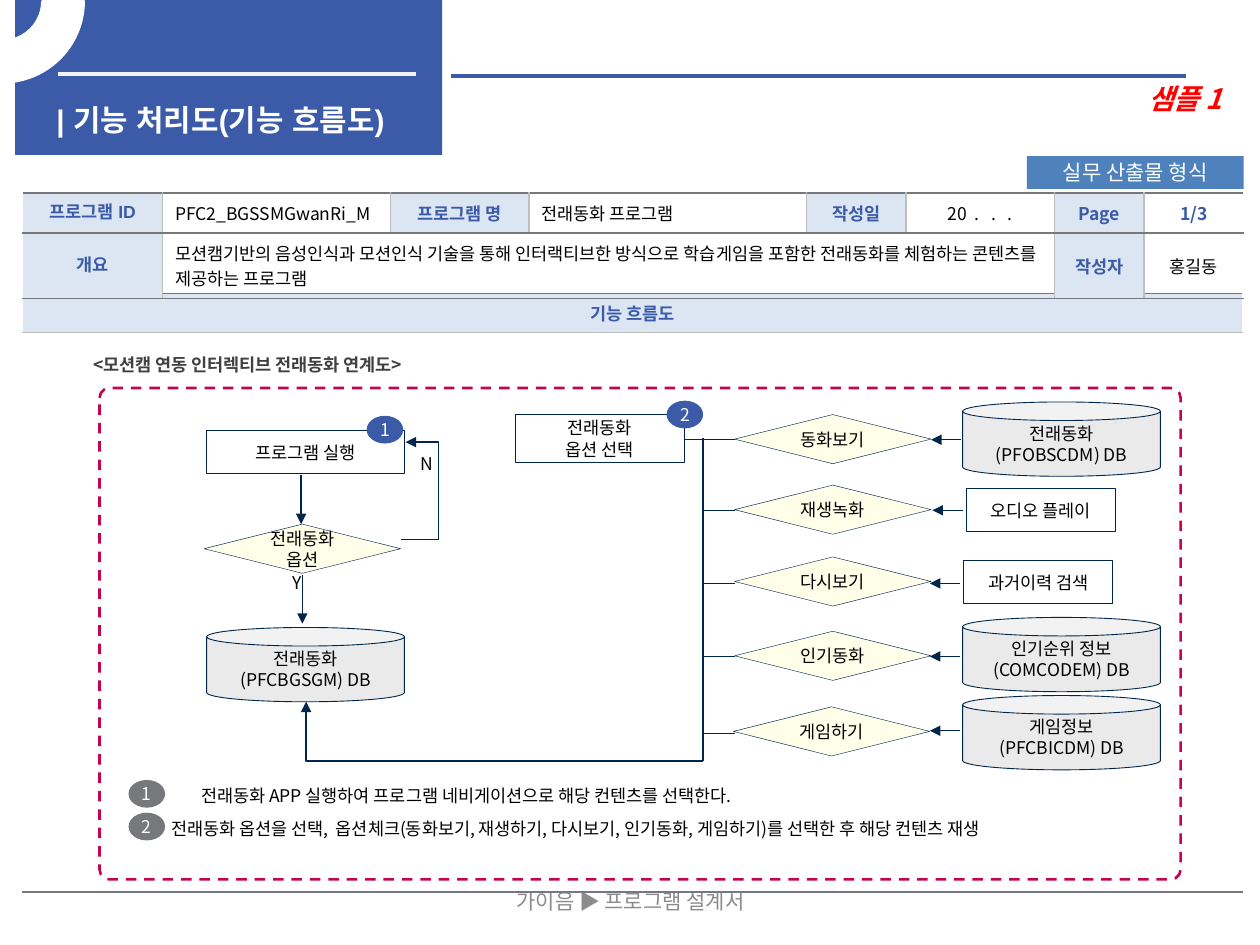
from lxml.etree import SubElement
from pptx import Presentation
from pptx.dml.color import RGBColor
from pptx.enum.dml import MSO_LINE
from pptx.enum.shapes import MSO_CONNECTOR as Link, MSO_SHAPE as Kind
from pptx.enum.text import MSO_ANCHOR as Anchor, PP_ALIGN as Align
from pptx.oxml import parse_xml
from pptx.oxml.ns import nsdecls, qn
from pptx.util import Inches, Pt

BLUE = RGBColor(0x3B, 0x5A, 0xA8)
SKY = RGBColor(0x4F, 0x81, 0xBD)
PALE = RGBColor(0xDC, 0xE6, 0xF2)
NAVY = RGBColor(0x00, 0x26, 0x4C)
CREAM = RGBColor(0xFF, 0xFF, 0xE9)
SILVER = RGBColor(0xEA, 0xEA, 0xEA)
GRAY = RGBColor(0x77, 0x78, 0x7B)
MUTED = RGBColor(0x8C, 0x8C, 0x8C)
DARK = RGBColor(0x40, 0x40, 0x40)
LIGHT = RGBColor(0xF2, 0xF2, 0xF2)
BORDER = RGBColor(0xBF, 0xBF, 0xBF)
CRIMSON = RGBColor(0xC4, 0x04, 0x52)
RED = RGBColor(0xFF, 0x00, 0x00)
WHITE = RGBColor(0xFF, 0xFF, 0xFF)
BLACK = RGBColor(0, 0, 0)
KOREAN = "Noto Sans CJK KR"

deck = Presentation()
deck.slide_width, deck.slide_height = Inches(10), Inches(7.5)
page = deck.slides.add_slide(deck.slide_layouts[6])
shapes = page.shapes


def write(frame, text, size=10, color=BLACK, bold=False, align=Align.CENTER, font=KOREAN):
    frame.text = text
    frame.word_wrap = True
    for para in frame.paragraphs:
        para.alignment = align
        for span in para.runs:
            span.font.size, span.font.bold, span.font.name = Pt(size), bold, font
            span.font.color.rgb = color
            SubElement(span.font._element, qn("a:ea")).set("typeface", font)


def draw(kind, left, top, width, height, fill=None, line=None, weight=0.5, inset=None):
    box = shapes.add_shape(kind, Inches(left), Inches(top), Inches(width), Inches(height))
    box.shadow.inherit = False
    if fill is None:
        box.fill.background()
    else:
        box.fill.solid()
        box.fill.fore_color.rgb = fill
    if line is None:
        box.line.fill.background()
    else:
        box.line.color.rgb, box.line.width = line, Pt(weight)
    frame = box.text_frame
    frame.vertical_anchor = Anchor.MIDDLE
    if inset is not None:
        frame.margin_left = frame.margin_right = Inches(inset)
        frame.margin_top = frame.margin_bottom = Inches(inset)
    return box


draw(Kind.RECTANGLE, 0.12, 0, 3.39, 1.23, BLUE)
arc = draw(Kind.BLOCK_ARC, -0.63, -0.63, 1.29, 1.28, WHITE, WHITE, 2)
for index, value in enumerate((161.59, 0, 0.25)):
    arc.adjustments[index] = value
arc._element.spPr.find(qn("a:xfrm")).set("flipV", "1")

frame_box = draw(Kind.ROUNDED_RECTANGLE, 0.79, 3.08, 8.58, 3.9, None, CRIMSON, 1.5)
frame_box.adjustments[0] = 0.02
frame_box.line.dash_style = MSO_LINE.DASH

for left, top, width, height, text in (
    (1.64, 3.42, 1.57, 0.34, "프로그램 실행"),
    (4.09, 3.29, 1.34, 0.38, "전래동화\n옵션 선택"),
    (7.67, 3.88, 1.18, 0.34, "오디오 플레이"),
    (7.65, 4.45, 1.18, 0.34, "과거이력 검색"),
):
    write(draw(Kind.RECTANGLE, left, top, width, height, None, NAVY, inset=0.04).text_frame, text)

for left, top, text in (
    (1.64, 4.98, "전래동화\n(PFCBGSGM) DB"),
    (7.64, 3.19, "전래동화\n(PFOBSCDM) DB"),
    (7.64, 4.9, "인기순위 정보\n(COMCODEM) DB"),
    (7.64, 5.52, "게임정보\n(PFCBICDM) DB"),
):
    write(draw(Kind.CAN, left, top, 1.57, 0.59, SILVER, NAVY, inset=0.04).text_frame, text)

for left, top, text in (
    (1.62, 4.16, "전래동화 옵션"),
    (5.83, 3.29, "동화보기"),
    (5.83, 3.85, "재생녹화"),
    (5.83, 4.42, "다시보기"),
    (5.83, 5.01, "인기동화"),
    (5.82, 5.61, "게임하기"),
):
    write(draw(Kind.FLOWCHART_DECISION, left, top, 1.56, 0.39, CREAM, NAVY, 0.25).text_frame, text)

links = [
    (Link.STRAIGHT, 0.46, 0.59, 3.3, 0.59, LIGHT, 2.25, False),
    (Link.STRAIGHT, 3.58, 0.6, 9.41, 0.6, BLUE, 2.25, False),
    (Link.STRAIGHT, 2.39, 3.77, 2.39, 4.16, NAVY, 0.75, True),
    (Link.STRAIGHT, 2.4, 4.56, 2.4, 4.95, NAVY, 0.75, True),
    (Link.STRAIGHT, 5.44, 3.49, 5.83, 3.49, NAVY, 0.75, False),
    (Link.STRAIGHT, 5.58, 6.04, 5.58, 3.48, NAVY, 0.75, False),
    (Link.ELBOW, 3.18, 4.28, 3.22, 3.51, NAVY, 0.75, True),
    (Link.ELBOW, 5.58, 6.04, 2.43, 5.57, NAVY, 0.75, True),
]
for y in (4.05, 4.63, 5.21, 5.82):
    links.append((Link.STRAIGHT, 5.59, y, 5.83, y, NAVY, 0.75, False))
for x, y in ((7.39, 3.49), (7.4, 4.05), (7.38, 4.63), (7.38, 5.21), (7.38, 5.8)):
    links.append((Link.STRAIGHT, x + 0.24, y, x, y, NAVY, 0.75, True))

for kind, x1, y1, x2, y2, color, weight, arrow in links:
    link = shapes.add_connector(kind, Inches(x1), Inches(y1), Inches(x2), Inches(y2))
    link.line.color.rgb, link.line.width = color, Pt(weight)
    properties = link._element.spPr
    if arrow:
        SubElement(link.line._get_or_add_ln(), qn("a:tailEnd")).set("type", "triangle")
    SubElement(properties, qn("a:effectLst"))
    if kind == Link.ELBOW:
        geometry = properties.find(qn("a:prstGeom"))
        if x2 < x1:
            geometry.set("prst", "bentConnector2")
        else:
            guide = SubElement(geometry.find(qn("a:avLst")), qn("a:gd"))
            guide.set("name", "adj1")
            guide.set("fmla", "val 755500")

for left, top, number, color in (
    (2.91, 3.3, "1", BLUE),
    (5.29, 3.18, "2", BLUE),
    (1.02, 6.19, "1", GRAY),
    (1.02, 6.45, "2", GRAY),
):
    badge = draw(Kind.OVAL, left, top, 0.29, 0.22, color, inset=0)
    write(badge.text_frame, number, color=WHITE)

banner = draw(Kind.RECTANGLE, 8.15, 1.24, 1.72, 0.26, SKY)
write(banner.text_frame, "실무 산출물 형식", 12, WHITE)

for left, top, width, height, text, size, color, bold, align, font in (
    (0.35, 0.76, 3.07, 0.32, "| 기능 처리도(기능 흐름도)", 17, WHITE, True, Align.LEFT, "Arial"),
    (4.21, 0.6, 5.59, 0.37, "샘플 1", 16, RED, True, Align.RIGHT, KOREAN),
    (3.42, 6.95, 3.17, 0.4, "가이음 ▶ 프로그램 설계서", 12, MUTED, False, Align.CENTER, KOREAN),
    (0.64, 2.73, 5.43, 0.3, "<모션캠 연동 인터렉티브 전래동화 연계도>", 10, DARK, True, Align.LEFT, KOREAN),
    (1.25, 6.15, 4.9, 0.3, "전래동화 APP 실행하여 프로그램 네비게이션으로 해당 컨텐츠를 선택한다.",
     10, BLACK, False, Align.CENTER, KOREAN),
    (1.26, 6.41, 7.39, 0.28,
     "전래동화 옵션을 선택,  옵션체크(동화보기, 재생하기, 다시보기, 인기동화, 게임하기)를 선택한 후 해당 컨텐츠 재생",
     10, BLACK, False, Align.LEFT, KOREAN),
    (2.22, 4.49, 0.28, 0.27, "Y", 10, BLACK, False, Align.CENTER, KOREAN),
    (3.23, 3.55, 0.31, 0.27, "N", 10, BLACK, False, Align.CENTER, KOREAN),
):
    box = shapes.add_textbox(Inches(left), Inches(top), Inches(width), Inches(height))
    frame = box.text_frame
    write(frame, text, size, color, bold, align, font)
    para = frame.paragraphs[0]
    para.runs[0].font.italic = color == RED
    if color == MUTED:
        frame.vertical_anchor = Anchor.MIDDLE
    elif width < 1:
        frame.margin_left = frame.margin_right = 0
    elif size == 10:
        para.line_spacing, para.space_before = 1.2, Pt(2)

overview = "모션캠기반의 음성인식과 모션인식 기술을 통해 인터랙티브한 방식으로 학습게임을 포함한 전래동화를 체험하는 콘텐츠를 제공하는 프로그램"
flow_rows = [["기능 흐름도"], [""]]
info_rows = [
    ["프로그램 ID", "PFC2_BGSSMGwanRi_M", "프로그램 명", "전래동화 프로그램", "작성일", "20  .   .   .", "Page", "1/3"],
    ["개요", overview, "", "", "", "", "작성자", "홍길동"],
]
info_widths = (1.11, 1.81, 1.1, 2.2, 0.79, 1.18, 0.71, 0.79)
for top, widths, heights, rows in (
    (2.33, (9.68,), (0.31, 4.44), flow_rows),
    (1.53, info_widths, (0.32, 0.52), info_rows),
):
    table = shapes.add_table(2, len(widths), Inches(0.18), Inches(top),
                             Inches(sum(widths)), Inches(sum(heights))).table
    table.first_row = table.horz_banding = False
    for column, width in zip(table.columns, widths):
        column.width = Inches(width)
    for row, height in zip(table.rows, heights):
        row.height = Inches(height)
    if rows is info_rows:
        table.cell(1, 1).merge(table.cell(1, 5))
    for r, texts in enumerate(rows):
        for c, text in enumerate(texts):
            cell = table.cell(r, c)
            cell.vertical_anchor = Anchor.MIDDLE
            heading = c % 2 == 0 and text != ""
            if heading:
                cell.fill.solid()
                cell.fill.fore_color.rgb = PALE
            else:
                cell.fill.background()
            if text:
                strong = heading or text == "1/3"
                write(cell.text_frame, text, 10, BLUE if strong else BLACK, strong,
                      Align.LEFT if c in (1, 3) else Align.CENTER, "Arial" if c == 0 and rows is info_rows else KOREAN)
            left_color = WHITE if c == 0 else BORDER
            right_color = WHITE if c == len(widths) - 1 else BORDER
            inner = BORDER if rows is flow_rows else GRAY
            sides = (("L", left_color), ("R", right_color),
                     ("T", inner if r else GRAY), ("B", GRAY if r else inner))
            for index, (side, color) in enumerate(sides):
                cell._tc.get_or_add_tcPr().insert(index, parse_xml(
                    f'<a:ln{side} {nsdecls("a")} w="12700"><a:solidFill><a:srgbClr val="{color}"/></a:solidFill></a:ln{side}>'))

deck.save("out.pptx")
